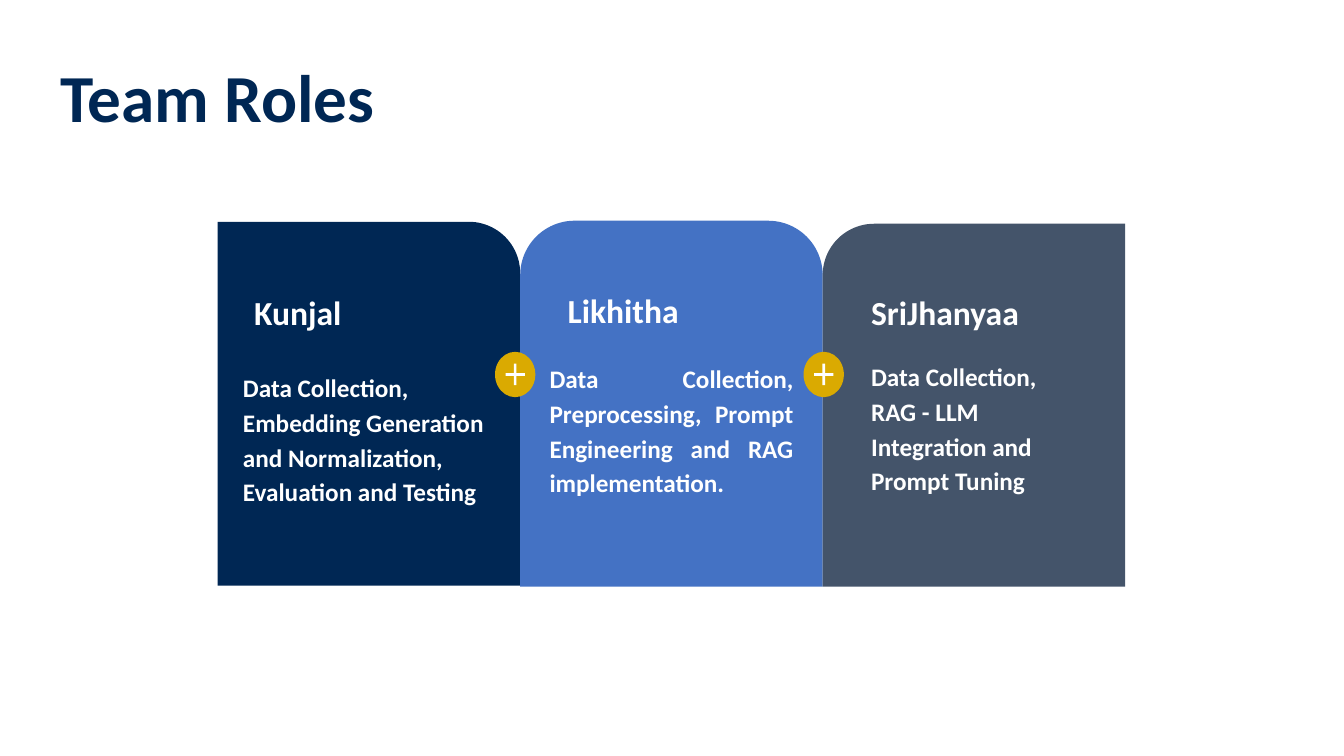
import dataclasses

import pptx
import pptx.dml.color
import pptx.enum.shapes
import pptx.enum.text
import pptx.util

Inches = pptx.util.Inches
Kind = pptx.enum.shapes.MSO_SHAPE
Align = pptx.enum.text.PP_ALIGN
Anchor = pptx.enum.text.MSO_ANCHOR


@dataclasses.dataclass(frozen=True)
class Theme:
    font: str = "Calibri"
    navy: str = "002754"
    blue: str = "4472C4"
    slate: str = "44546A"
    gold: str = "DAAA01"
    white: str = "FFFFFF"
    title: int = 48
    name: int = 24
    body: int = 18


class Deck:
    def __init__(self, theme):
        self.theme = theme
        self.file = pptx.Presentation()
        self.file.slide_width = Inches(13.33)
        self.file.slide_height = Inches(7.5)
        self.slide = self.file.slides.add_slide(self.file.slide_layouts[6])

    def group(self):
        return self.slide.shapes.add_group_shape().shapes

    def shape(self, group, kind, box, fill, adjust=(), flip=False):
        item = group.add_shape(kind, *map(Inches, box))
        item.shadow.inherit = False
        item.fill.solid()
        item.fill.fore_color.rgb = pptx.dml.color.RGBColor.from_string(fill)
        item.line.fill.background()
        for index, value in enumerate(adjust):
            item.adjustments[index] = value
        if flip:
            item._element.spPr.xfrm.set("flipH", "1")
        return item

    def label(self, item, text, size, color, inset=(0.13, 0.13),
              anchor=Anchor.TOP, align=Align.LEFT, line=1.0, before=0, after=0):
        frame = item.text_frame
        frame.word_wrap = True
        frame.vertical_anchor = anchor
        frame.margin_left = frame.margin_right = Inches(inset[0])
        frame.margin_top = frame.margin_bottom = Inches(inset[1])
        para = frame.paragraphs[0]
        para.alignment = align
        para.line_spacing = line
        para.space_before = pptx.util.Pt(before)
        para.space_after = pptx.util.Pt(after)
        run = para.add_run()
        run.text = text
        run.font.name = self.theme.font
        run.font.size = pptx.util.Pt(size)
        run.font.bold = True
        run.font.color.rgb = pptx.dml.color.RGBColor.from_string(color)

    def title(self, text, box):
        item = self.slide.shapes.add_textbox(*map(Inches, box))
        self.label(item, text, self.theme.title, self.theme.navy,
                   inset=(0.1, 0.05), anchor=Anchor.MIDDLE, line=0.9)

    def card(self, fill, panel, name, body, layout):
        """Draw one role; panel, name and body pair content with a box."""
        group = self.group()
        kind, box, adjust, flip = panel
        self.shape(group, kind, box, fill, adjust, flip)
        text, box = name
        self.label(self.shape(group, Kind.RECTANGLE, box, fill),
                   text, self.theme.name, self.theme.white)
        text, box = body
        self.label(self.shape(group, Kind.RECTANGLE, box, fill),
                   text, self.theme.body, self.theme.white, line=1.15, **layout)

    def plus(self, left, top):
        group = self.group()
        self.shape(group, Kind.OVAL, (left, top, 0.4, 0.45), self.theme.gold)
        self.shape(group, Kind.MATH_PLUS, (left + 0.07, top + 0.08, 0.26, 0.29),
                   self.theme.white, (0.1,))


def main():
    theme = Theme()
    deck = Deck(theme)
    deck.title("Team Roles", (0.5, 0.66, 3.96, 0.68))

    cards = [
        (theme.navy,
         (Kind.ROUND_1_RECTANGLE, (2.16, 2.2, 3, 3.61), (0.17,), False),
         ("Kunjal", (2.39, 2.77, 2.34, 1.08)),
         ("Data Collection, Embedding Generation and Normalization, "
          "Evaluation and Testing", (2.28, 3.52, 2.88, 2.08)),
         {}),
        (theme.blue,
         (Kind.ROUND_2_SAME_RECTANGLE, (5.16, 2.19, 3, 3.63), (0.18, 0), False),
         ("Likhitha", (5.5, 2.75, 2.25, 1.06)),
         ("Data Collection, Preprocessing, Prompt Engineering and RAG "
          "implementation.", (5.32, 3.43, 2.68, 1.96)),
         {"align": Align.JUSTIFY, "before": 10}),
        (theme.slate,
         (Kind.ROUND_1_RECTANGLE, (8.16, 2.22, 3, 3.6), (0.17,), True),
         ("SriJhanyaa", (8.51, 2.77, 2.25, 1.05)),
         ("Data Collection, RAG - LLM Integration and Prompt Tuning",
          (8.51, 3.41, 2.25, 1.88)),
         {"after": 21}),
    ]
    for card in cards:
        deck.card(*card)
    for left in (4.91, 7.97):
        deck.plus(left, 3.49)
    deck.file.save("out.pptx")


if __name__ == "__main__":
    main()
